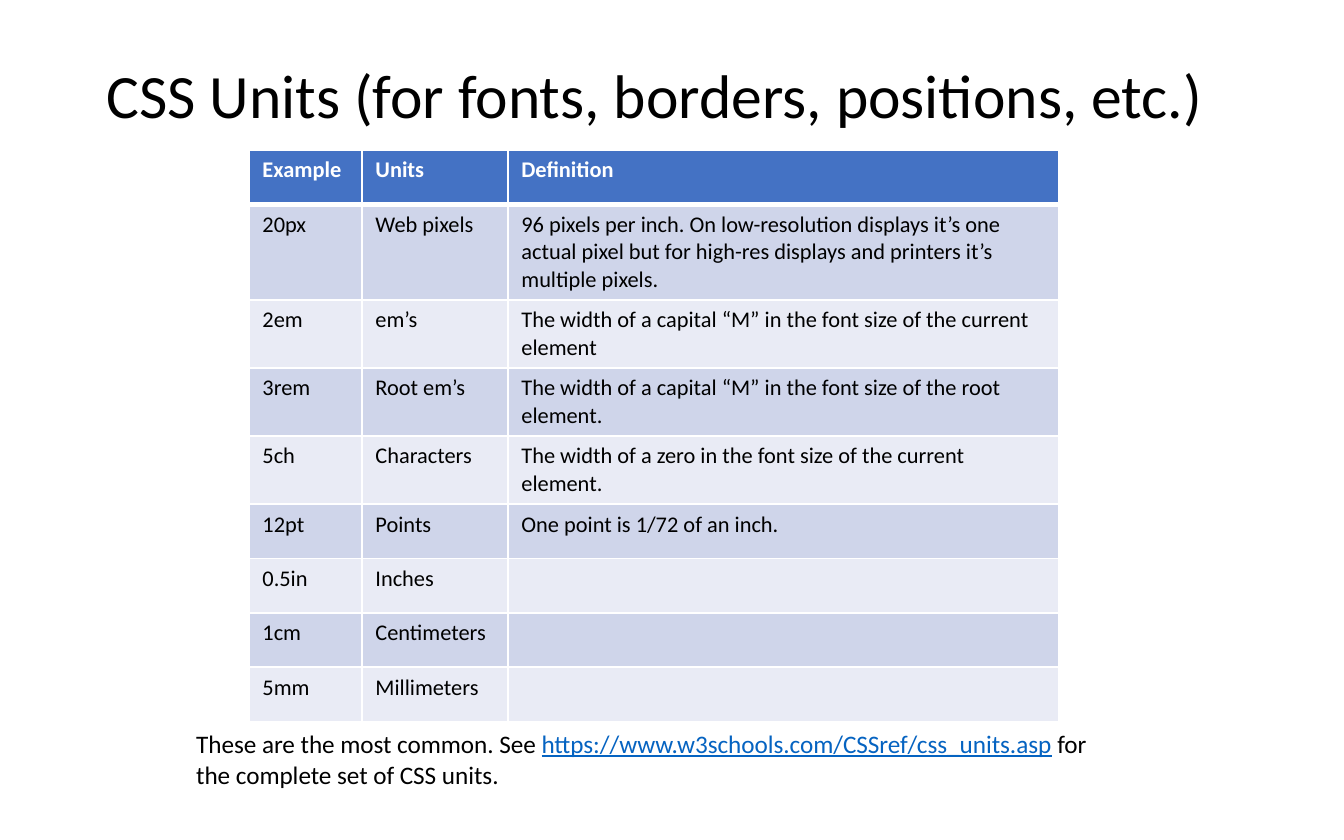
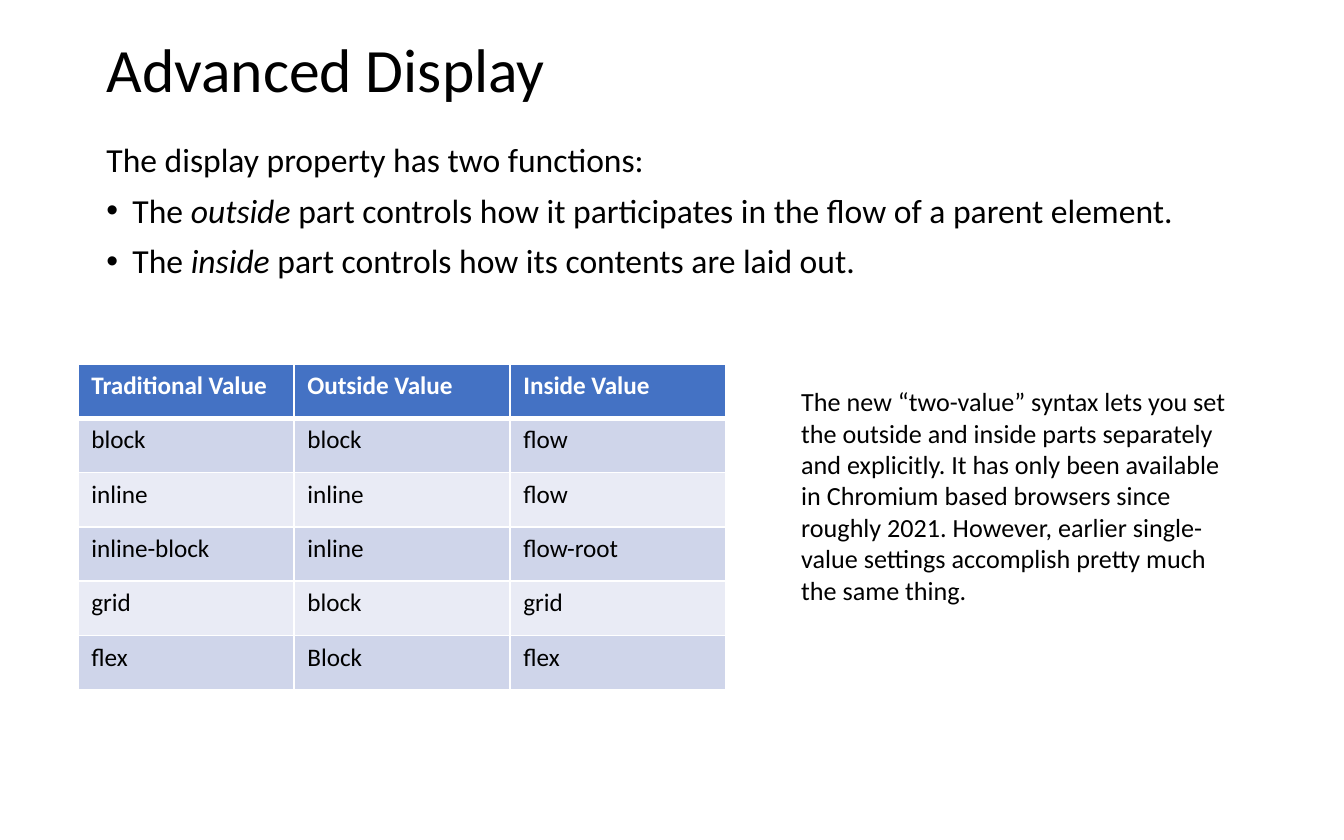
from dataclasses import dataclass

from lxml.etree import SubElement
from pptx import Presentation
from pptx.dml.color import RGBColor as Color
from pptx.enum.text import MSO_ANCHOR as Anchor, MSO_AUTO_SIZE as AutoSize, PP_ALIGN as Align
from pptx.oxml.ns import qn
from pptx.util import Emu, Pt

EMU_PER_PX = 914400 / 134.4
TITLE_ONLY, TITLE_AND_BODY = 5, 1


@dataclass(frozen=True)
class Theme:
    font: str = "Calibri"
    ink: str = "000000"
    paper: str = "FFFFFF"
    link: str = "0563C1"
    header: str = "4472C4"
    bands: tuple = ("CFD5EA", "E9EBF5")
    title_size: float = 33
    body_size: float = 18
    aside_size: float = 14
    note_size: float = 13.5
    units_size: float = 12
    display_size: float = 13.5
    line_spacing: float = 0.9
    body_gap: float = 7.5
    bullet_indent: int = 26
    thin: float = 1
    thick: float = 3


THEME = Theme()

UNITS = [
    ("Example", "Units", "Definition"),
    ("20px", "Web pixels", "96 pixels per inch. On low-resolution displays it’s one actual pixel "
     "but for high-res displays and printers it’s multiple pixels."),
    ("2em", "em’s", "The width of a capital “M” in the font size of the current element"),
    ("3rem", "Root em’s", "The width of a capital “M” in the font size of the root element."),
    ("5ch", "Characters", "The width of a zero in the font size of the current element."),
    ("12pt", "Points", "One point is 1/72 of an inch."),
    ("0.5in", "Inches", ""),
    ("1cm", "Centimeters", ""),
    ("5mm", "Millimeters", ""),
]

DISPLAY_VALUES = [
    ("Traditional Value", "Outside Value", "Inside Value"),
    ("block", "block", "flow"),
    ("inline", "inline", "flow"),
    ("inline-block", "inline", "flow-root"),
    ("grid", "block", "grid"),
    ("flex", "Block", "flex"),
]


def px(length):
    return Emu(round(length * EMU_PER_PX))


def color(value):
    return Color.from_string(value)


def style(font, size, ink=THEME.ink, bold=False):
    font.name = THEME.font
    font.size = Pt(size)
    font.bold = bold
    font.color.rgb = color(ink)


def place(shape, left, top, width, height):
    shape.left, shape.top, shape.width, shape.height = map(px, (left, top, width, height))


def add_page(deck, layout, title, top, height):
    page = deck.slides.add_slide(deck.slide_layouts[layout])
    place(page.shapes.title, 93, top, 1159, height)
    frame = page.shapes.title.text_frame
    frame.text = title
    frame.auto_size = AutoSize.NONE
    frame.vertical_anchor = Anchor.MIDDLE
    para = frame.paragraphs[0]
    para.alignment = Align.LEFT
    para.line_spacing = THEME.line_spacing
    style(para.font, THEME.title_size)
    return page


def set_bullet(para, bulleted):
    properties = para._p.get_or_add_pPr()
    indent = px(THEME.bullet_indent) if bulleted else 0
    properties.set("marL", str(indent))
    properties.set("indent", str(-indent))
    if bulleted:
        SubElement(properties, qn("a:buFont")).set("typeface", "Arial")
        SubElement(properties, qn("a:buChar")).set("char", "•")
    else:
        SubElement(properties, qn("a:buNone"))


def fill_body(body, intro, points):
    place(body, 93, 137, 1159, 185)
    frame = body.text_frame
    frame.auto_size = AutoSize.NONE
    for index, (before, stressed, after) in enumerate([(intro, "", ""), *points]):
        para = frame.add_paragraph() if index else frame.paragraphs[0]
        set_bullet(para, index > 0)
        para.line_spacing = THEME.line_spacing
        para.space_before = Pt(THEME.body_gap if index else 0)
        style(para.font, THEME.body_size)
        for text in filter(None, (before, stressed, after)):
            span = para.add_run()
            span.text = text
            if text == stressed:
                span.font.italic = True


def add_text(page, bounds, size, *texts):
    box = page.shapes.add_textbox(*map(px, bounds))
    frame = box.text_frame
    frame.word_wrap = True
    frame.auto_size = AutoSize.SHAPE_TO_FIT_TEXT
    para = frame.paragraphs[0]
    style(para.font, size)
    for text in texts:
        span = para.add_run()
        span.text = text
        if text.startswith("https://"):
            span.font.color.rgb = color(THEME.link)
            span.font.underline = True


def set_borders(cell, top, bottom):
    properties = cell._tc.get_or_add_tcPr()
    widths = {"lnL": THEME.thin, "lnR": THEME.thin, "lnT": top, "lnB": bottom}
    for edge, width in widths.items():
        line = SubElement(properties, qn(f"a:{edge}"), w=str(Pt(width)))
        fill = SubElement(line, qn("a:solidFill"))
        SubElement(fill, qn("a:srgbClr")).set("val", THEME.paper)


def add_grid(page, left, top, height, column_widths, rows, size):
    bounds = map(px, (left, top, sum(column_widths), height))
    table = page.shapes.add_table(len(rows), len(column_widths), *bounds).table
    for column, width in zip(table.columns, column_widths):
        column.width = px(width)
    for row_index, row in enumerate(rows):
        is_header = row_index == 0
        background = THEME.header if is_header else THEME.bands[(row_index - 1) % 2]
        for column_index, text in enumerate(row):
            cell = table.cell(row_index, column_index)
            set_borders(cell, THEME.thick if row_index == 1 else THEME.thin,
                        THEME.thick if is_header else THEME.thin)
            cell.fill.solid()
            cell.fill.fore_color.rgb = color(background)
            cell.text = text
            style(cell.text_frame.paragraphs[0].font, size,
                  THEME.paper if is_header else THEME.ink, is_header)


def add_units_page(deck):
    page = add_page(deck, TITLE_ONLY, "CSS Units (for fonts, borders, positions, etc.)", 44, 109)
    add_grid(page, 249, 150, 490, (113, 146, 551), UNITS, THEME.units_size)
    add_text(page, (183, 722, 942, 75), THEME.note_size,
             "These are the most common. See ",
             "https://www.w3schools.com/CSSref/css_units.asp",
             " for the complete set of CSS units.")


def add_display_page(deck):
    page = add_page(deck, TITLE_AND_BODY, "Advanced Display", 16, 113)
    fill_body(page.placeholders[1], "The display property has two functions:", [
        ("The ", "outside", " part controls how it participates in the flow of a parent element."),
        ("The ", "inside", " part controls how its contents are laid out."),
    ])
    add_grid(page, 78, 364, 326, (216,) * 3, DISPLAY_VALUES, THEME.display_size)
    add_text(page, (788, 379, 464, 266), THEME.aside_size,
             "The new “two-value” syntax lets you set the outside and inside parts separately and "
             "explicitly. It has only been available in Chromium based browsers since roughly 2021. "
             "However, earlier single-value settings accomplish pretty much the same thing.")


def main():
    deck = Presentation()
    deck.slide_width, deck.slide_height = px(1344), px(840)
    add_units_page(deck)
    add_display_page(deck)
    deck.save("out.pptx")


if __name__ == "__main__":
    main()
